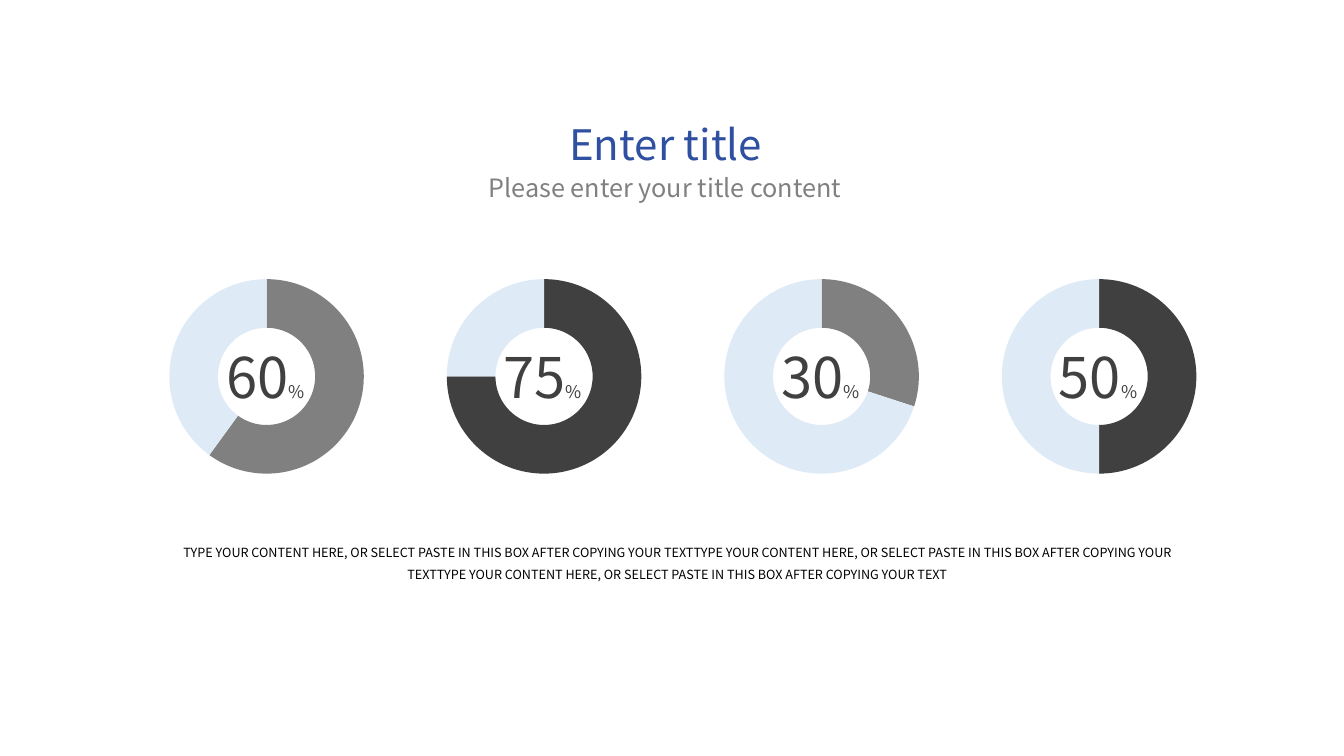
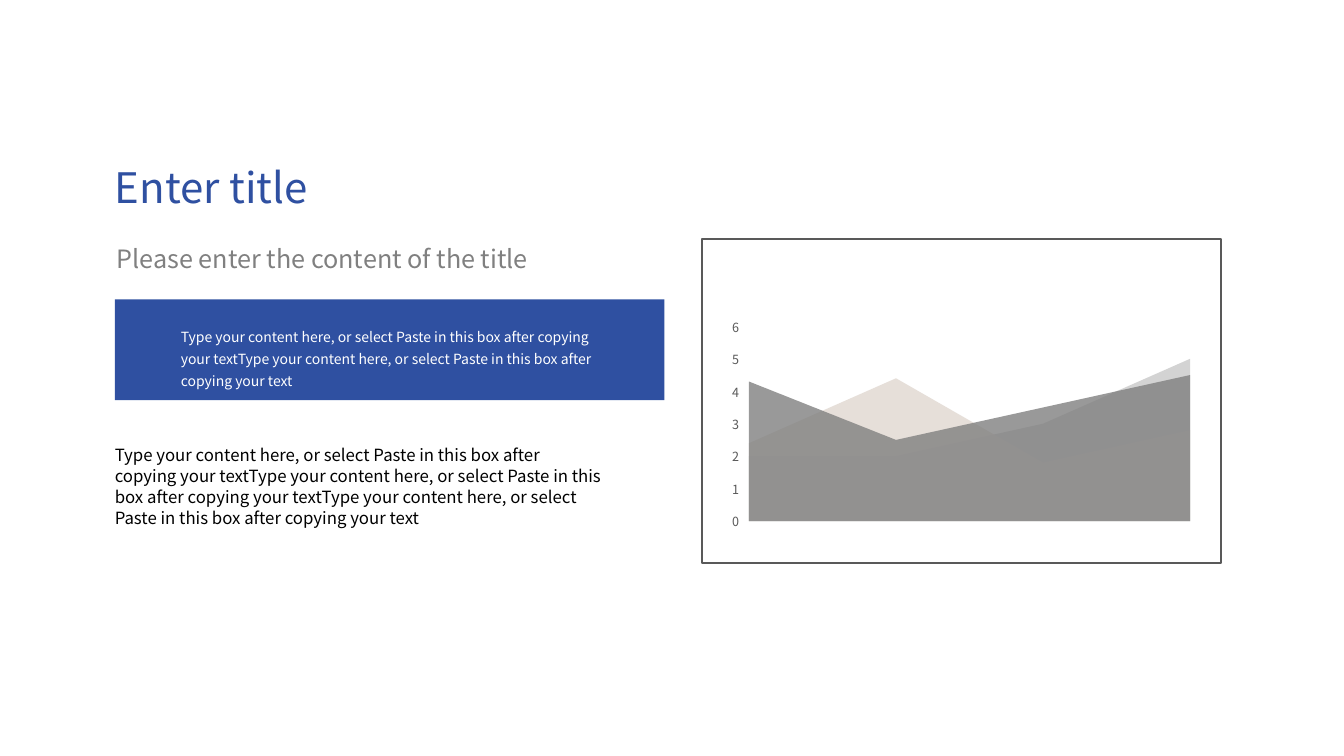
import dataclasses
import typing

import lxml.etree
import pptx
import pptx.chart.chart
import pptx.chart.data
import pptx.dml.color
import pptx.enum.chart
import pptx.enum.shapes
import pptx.enum.text
import pptx.oxml
import pptx.oxml.ns
import pptx.slide
import pptx.util

Pt = pptx.util.Pt
qn = pptx.oxml.ns.qn
Align = pptx.enum.text.PP_ALIGN
Anchor = pptx.enum.text.MSO_ANCHOR
ChartType = pptx.enum.chart.XL_CHART_TYPE

FONT = "Noto Sans CJK SC"
COLORS = {
    "title": "2F50A1",
    "subtitle": "808080",
    "text": "000000",
    "white": "FFFFFF",
    "dark": "404040",
    "gray": "808080",
    "pale": "DEEBF7",
    "axis": "595959",
    "beige": "E0D7D0",
    "silver": "C8C8C8",
}
PROMPT = "Type your content here, or select Paste in this box after copying your text"
TITLE = "Enter title"
TITLE_FORMAT = {"size": 30, "color": "title"}
SUBTITLE_FORMAT = {"size": 18, "color": "subtitle"}
CATEGORIES = ["1", "2", "3", "4"]
DEFAULT_INSETS = (7.2, 3.6, 7.2, 3.6)
NO_INSETS = (0, 0, 0, 0)


@dataclasses.dataclass(frozen=True)
class Box:
    left: float
    top: float
    width: float
    height: float

    def lengths(self) -> list[pptx.util.Length]:
        return [Pt(value) for value in dataclasses.astuple(self)]


@dataclasses.dataclass(frozen=True)
class Ring:
    percent: int
    color: str


@dataclasses.dataclass(frozen=True)
class Area:
    name: str
    values: tuple[float, ...]
    color: str


RINGS = [Ring(60, "gray"), Ring(75, "dark"), Ring(30, "gray"), Ring(50, "dark")]
RING_LEFT, RING_TOP, RING_SIZE, RING_STEP = 119.5, 198, 140.4, 198.24
AREAS = [
    Area("Series 1", (4.3, 2.5, 3.5, 4.5), "gray"),
    Area("Series 2", (2.4, 4.4, 1.8, 2.8), "beige"),
    Area("Series 3", (2, 2, 3, 5), "silver"),
]


def rgb(name: str) -> pptx.dml.color.RGBColor:
    return pptx.dml.color.RGBColor.from_string(COLORS[name])


def add_text(
    page: pptx.slide.Slide,
    box: Box,
    text: str,
    *,
    size: float,
    color: str,
    suffix: str = "",
    suffix_size: float = 12.5,
    align: Align = Align.LEFT,
    anchor: Anchor = Anchor.TOP,
    insets: tuple[float, ...] = DEFAULT_INSETS,
    spacing: typing.Optional[float] = None,
    wrap: bool = True,
    grow: bool = True,
) -> None:
    frame = page.shapes.add_textbox(*box.lengths()).text_frame
    frame.word_wrap = wrap
    frame.vertical_anchor = anchor
    sizing = pptx.enum.text.MSO_AUTO_SIZE
    frame.auto_size = sizing.SHAPE_TO_FIT_TEXT if grow else sizing.NONE
    frame.margin_left, frame.margin_top, frame.margin_right, frame.margin_bottom = (
        Pt(inset) for inset in insets
    )
    para = frame.paragraphs[0]
    para.alignment = align
    if spacing is not None:
        para.line_spacing = spacing
    for words, points in ((text, size), (suffix, suffix_size)):
        if words:
            span = para.add_run()
            span.text = words
            span.font.size = Pt(points)
            span.font.name = FONT
            span.font.color.rgb = rgb(color)


def add_chart(
    page: pptx.slide.Slide,
    kind: ChartType,
    box: Box,
    categories: list[str],
    series: list[tuple[str, tuple[float, ...]]],
    plot: Box,
    color: str,
) -> pptx.chart.chart.Chart:
    data = pptx.chart.data.CategoryChartData()
    data.categories = categories
    for name, values in series:
        data.add_series(name, values)
    chart = page.shapes.add_chart(kind, *box.lengths(), data).chart
    chart.has_legend = False
    chart.has_title = False
    chart.font.size = Pt(10)
    chart.font.name = FONT
    chart.font.color.rgb = rgb(color)
    set_plot_layout(chart, plot)
    return chart


def set_plot_layout(chart: pptx.chart.chart.Chart, plot: Box) -> None:
    plot_area = chart.element.find(".//" + qn("c:plotArea"))
    for layout in plot_area.findall(qn("c:layout")):
        plot_area.remove(layout)
    layout = lxml.etree.Element(qn("c:layout"))
    manual = lxml.etree.SubElement(layout, qn("c:manualLayout"))
    settings = {
        "layoutTarget": "inner",
        "xMode": "edge",
        "yMode": "edge",
        "x": plot.left,
        "y": plot.top,
        "w": plot.width,
        "h": plot.height,
    }
    for tag, value in settings.items():
        lxml.etree.SubElement(manual, qn(f"c:{tag}"), val=str(value))
    plot_area.insert(0, layout)


def set_chart_border(chart: pptx.chart.chart.Chart, color: str, width: float) -> None:
    border = pptx.oxml.parse_xml(
        f'<c:spPr {pptx.oxml.ns.nsdecls("c", "a")}><a:noFill/>'
        f'<a:ln w="{Pt(width)}"><a:solidFill><a:srgbClr val="{COLORS[color]}"/>'
        "</a:solidFill></a:ln></c:spPr>"
    )
    chart.element.find(qn("c:chart")).addnext(border)


def add_ring(page: pptx.slide.Slide, ring: Ring, left: float) -> None:
    chart = add_chart(
        page,
        ChartType.DOUGHNUT,
        Box(left, RING_TOP, RING_SIZE, RING_SIZE),
        CATEGORIES[:2],
        [("Series 1", (ring.percent, 100 - ring.percent))],
        Box(0.01, 0.01, 0.99, 0.99),
        "text",
    )
    chart.element.find(".//" + qn("c:holeSize")).set("val", "85")
    for index, color in enumerate((ring.color, "pale")):
        style = chart.plots[0].series[0].points[index].format
        style.fill.solid()
        style.fill.fore_color.rgb = rgb(color)
        style.line.fill.background()
    add_text(
        page,
        Box(left + 42, RING_TOP + 46.8, 56, 48),
        str(ring.percent),
        suffix="%",
        size=40,
        color="dark",
        align=Align.RIGHT,
        insets=NO_INSETS,
        wrap=False,
    )


def add_area_chart(page: pptx.slide.Slide) -> None:
    chart = add_chart(
        page,
        ChartType.AREA,
        Box(501, 170, 372, 233),
        CATEGORIES,
        [(area.name, area.values) for area in AREAS],
        Box(0.09, 0.27, 0.85, 0.6),
        "axis",
    )
    set_chart_border(chart, "axis", 1.25)
    chart.category_axis.visible = False
    axis = chart.value_axis
    axis.has_major_gridlines = False
    axis.minimum_scale, axis.maximum_scale, axis.major_unit = 0, 6, 1
    axis.major_tick_mark = pptx.enum.chart.XL_TICK_MARK.OUTSIDE
    axis.format.line.fill.background()
    labels = axis.tick_labels.font
    labels.size = Pt(9)
    labels.name = FONT
    labels.color.rgb = rgb("axis")
    chart.element.find(".//" + qn("c:crossBetween")).set("val", "midCat")
    for area, series in zip(AREAS, chart.plots[0].series):
        series.format.fill.solid()
        series.format.fill.fore_color.rgb = rgb(area.color)
        series.format.line.fill.background()
        shade = series.format.element if hasattr(series.format, "element") else series._element
        for paint in shade.iter(qn("a:srgbClr")):
            lxml.etree.SubElement(paint, qn("a:alpha"), val="80000")


def add_rings_page(page: pptx.slide.Slide) -> None:
    for index, ring in enumerate(RINGS):
        add_ring(page, ring, RING_LEFT + index * RING_STEP)
    center = Align.CENTER
    add_text(page, Box(299, 81.4, 353, 43), TITLE, align=center, **TITLE_FORMAT)
    add_text(
        page,
        Box(332, 119.5, 286, 29),
        "Please enter your title content",
        align=center,
        **SUBTITLE_FORMAT,
    )
    add_text(
        page,
        Box(112.3, 380, 742.3, 39.6),
        PROMPT.upper() * 3,
        size=9,
        color="text",
        align=center,
        spacing=1.5,
    )


def add_area_page(page: pptx.slide.Slide) -> None:
    left = 82
    band = page.shapes.add_shape(
        pptx.enum.shapes.MSO_SHAPE.RECTANGLE, *Box(left, 213.8, 392.6, 72).lengths()
    )
    band.shadow.inherit = False
    band.fill.solid()
    band.fill.fore_color.rgb = rgb("title")
    band.line.fill.background()
    add_text(
        page,
        Box(left, 316.8, 348.5, 60.5),
        PROMPT * 3,
        size=12,
        color="text",
        insets=NO_INSETS,
        spacing=Pt(15),
    )
    add_text(
        page,
        Box(left, 115.2, 209, 36),
        TITLE,
        anchor=Anchor.MIDDLE,
        insets=NO_INSETS,
        **TITLE_FORMAT,
    )
    add_text(
        page,
        Box(76.3, 170, 332, 29),
        "Please enter the content of the title",
        **SUBTITLE_FORMAT,
    )
    add_text(
        page,
        Box(125.6, 229.7, 309.6, 55.4),
        PROMPT * 2,
        size=10,
        color="white",
        insets=(3.6, 1.44, 3.6, 1.44),
        spacing=1.3,
        grow=False,
    )
    add_area_chart(page)


def main() -> None:
    deck = pptx.Presentation()
    deck.slide_width, deck.slide_height = Pt(960), Pt(540)
    for build in (add_rings_page, add_area_page):
        build(deck.slides.add_slide(deck.slide_layouts[6]))
    deck.save("out.pptx")


if __name__ == "__main__":
    main()
